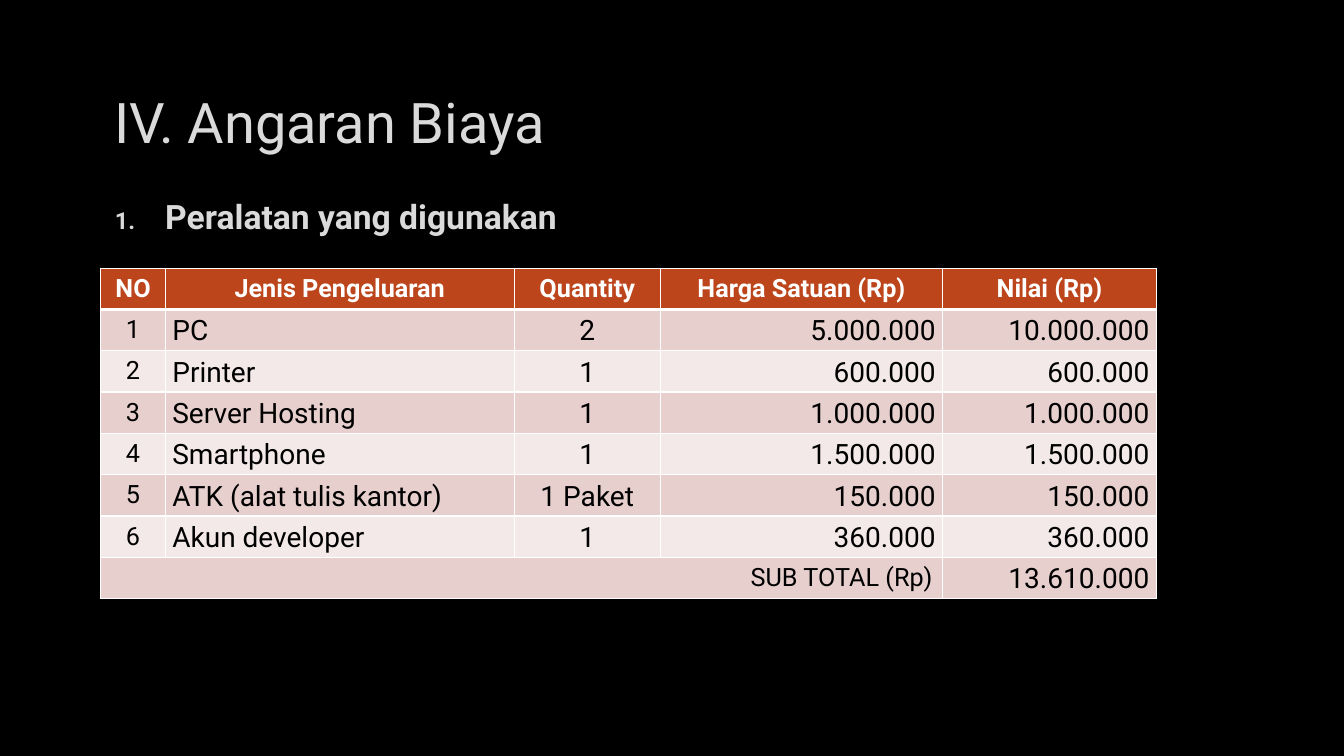
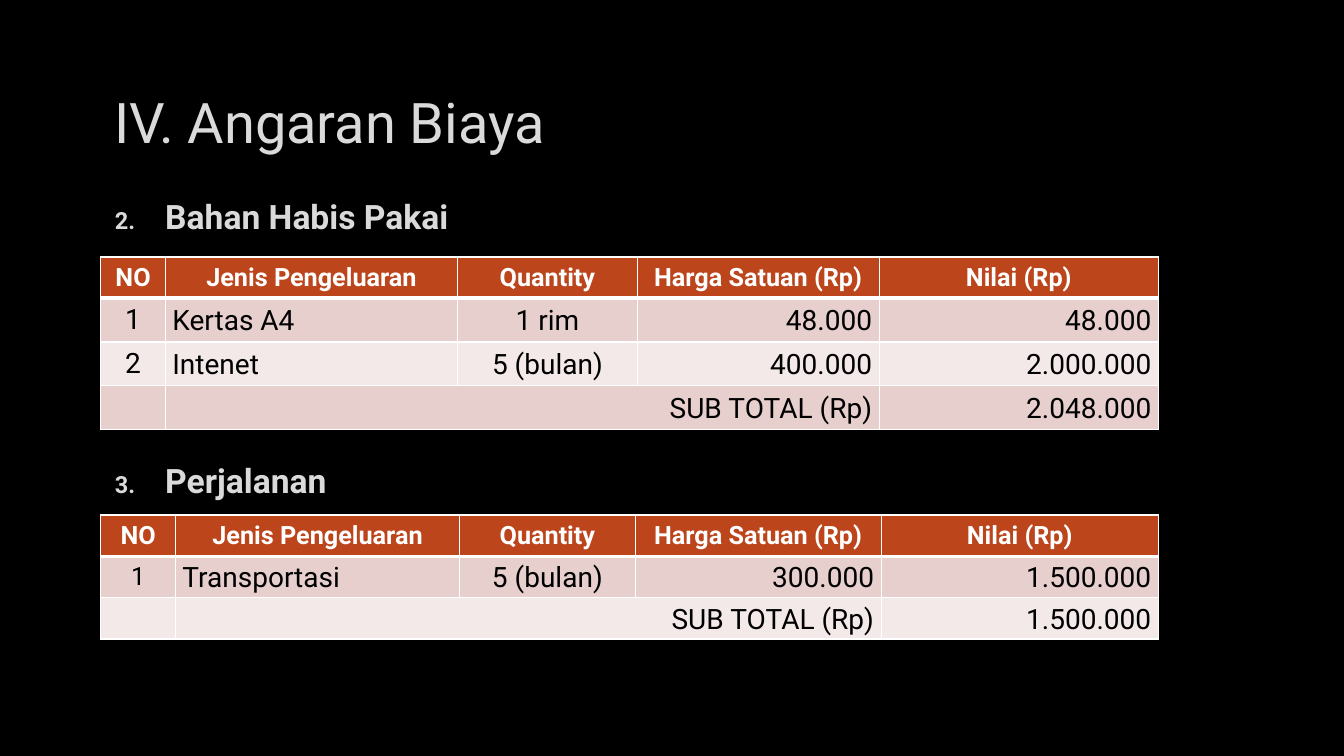
from lxml import etree
from pptx import Presentation
from pptx.dml.color import RGBColor
from pptx.enum import text
from pptx.oxml import ns
from pptx.util import Inches, Pt

FONT = "Roboto"
BLACK, WHITE, GREY = "000000", "FFFFFF", "DADADA"
HEADER_FILL = "BC451B"
BAND_FILLS = ("E7CFCD", "F3E9E8")
LEFT, CENTER, RIGHT = text.PP_ALIGN.LEFT, text.PP_ALIGN.CENTER, text.PP_ALIGN.RIGHT

TITLE = "IV. Angaran Biaya"
HEADERS = ("NO", "Jenis Pengeluaran", "Quantity", "Harga Satuan (Rp)", "Nilai (Rp)")
TOTAL_LABEL = "SUB TOTAL (Rp)"
ALIGNMENTS = (CENTER, LEFT, CENTER, RIGHT, RIGHT)

EQUIPMENT = dict(
    number=1, heading="Peralatan yang digunakan", heading_top=1.89, top=2.66,
    columns=(0.64, 3.46, 1.45, 2.8, 2.12), row_height=0.41,
    number_size=18, label_column=0, label_size=18,
    items=[
        ("PC", "2", "5.000.000", "10.000.000"),
        ("Printer", "1", "600.000", "600.000"),
        ("Server Hosting", "1", "1.000.000", "1.000.000"),
        ("Smartphone", "1", "1.500.000", "1.500.000"),
        ("ATK (alat tulis kantor)", "1 Paket", "150.000", "150.000"),
        ("Akun developer", "1", "360.000", "360.000"),
    ],
    total="13.610.000",
)
SUPPLIES = dict(
    number=2, heading="Bahan Habis Pakai", heading_top=1.89, top=2.55,
    columns=(0.64, 2.9, 1.78, 2.4, 2.77), row_height=0.43,
    number_size=20, label_column=1, label_size=20,
    items=[
        ("Kertas A4", "1 rim", "48.000", "48.000"),
        ("Intenet", "5 (bulan)", "400.000", "2.000.000"),
    ],
    total="2.048.000",
)
TRAVEL = dict(
    number=3, heading="Perjalanan", heading_top=4.51, top=5.11,
    columns=(0.74, 2.82, 1.74, 2.44, 2.75), row_height=0.41,
    number_size=18, label_column=1, label_size=20,
    items=[("Transportasi", "5 (bulan)", "300.000", "1.500.000")],
    total="1.500.000",
)
SLIDES = [[EQUIPMENT], [SUPPLIES, TRAVEL]]


def color(value):
    return RGBColor.from_string(value)


def add_child(parent, tag, **attributes):
    return etree.SubElement(parent, ns.qn(tag), attributes)


def write(para, words, size, ink, bold=False):
    span = para.add_run()
    span.text = words
    span.font.name = FONT
    span.font.size = Pt(size)
    span.font.bold = bold
    span.font.color.rgb = color(ink)


def add_box(page, top, width, height):
    box = page.shapes.add_textbox(Inches(1), Inches(top), Inches(width), Inches(height))
    box.text_frame.word_wrap = True
    return box.text_frame


def add_title(page):
    frame = add_box(page, 0.67, 4.54, 1.06)
    frame.vertical_anchor = text.MSO_ANCHOR.MIDDLE
    para = frame.paragraphs[0]
    para.alignment = CENTER
    write(para, TITLE, 40, GREY)


def add_heading(page, section):
    para = add_box(page, section["heading_top"], 4.91, 0.6).paragraphs[0]
    para.space_before, para.space_after = Pt(5), Pt(6)
    properties = para._p.get_or_add_pPr()
    properties.set("marL", str(Inches(0.54)))
    properties.set("indent", str(Inches(-0.5)))
    ink = add_child(properties, "a:buClr")
    add_child(ink, "a:srgbClr", val=GREY)
    add_child(properties, "a:buSzPct", val="70000")
    add_child(properties, "a:buFont", typeface="+mj-lt")
    add_child(properties, "a:buAutoNum", type="arabicPeriod", startAt=str(section["number"]))
    write(para, section["heading"], 24, GREY, True)


def style_cell(cell, fill, top_width=1, bottom_width=1):
    properties = cell._tc.get_or_add_tcPr()
    for side, width in zip("LRTB", (1, 1, top_width, bottom_width)):
        line = add_child(properties, f"a:ln{side}", w=str(Pt(width)))
        add_child(add_child(line, "a:solidFill"), "a:srgbClr", val=WHITE)
    cell.fill.solid()
    cell.fill.fore_color.rgb = color(fill)
    cell.vertical_anchor = text.MSO_ANCHOR.MIDDLE


def fill_cell(cell, words, align, size, ink=BLACK, bold=False, tight=False):
    para = cell.text_frame.paragraphs[0]
    para.alignment = align
    if tight:
        cell.margin_left = cell.margin_right = Inches(0.07)
        cell.margin_top = cell.margin_bottom = 0
        para.line_spacing = 1.07
    write(para, words, size, ink, bold)


def add_budget(page, section):
    items, columns = section["items"], section["columns"]
    heights = [0.41] + [section["row_height"]] * (len(items) + 1)
    frame = page.shapes.add_table(
        len(heights), len(columns), Inches(1), Inches(section["top"]),
        Inches(sum(columns)), Inches(sum(heights)))
    table = frame.table
    for column, width in zip(table.columns, columns):
        column.width = Inches(width)
    for index, (row, height) in enumerate(zip(table.rows, heights)):
        row.height = Inches(height)
        fill = BAND_FILLS[(index - 1) % 2] if index else HEADER_FILL
        for cell in row.cells:
            style_cell(cell, fill, 3 if index == 1 else 1, 1 if index else 3)

    for column, words in enumerate(HEADERS):
        fill_cell(table.cell(0, column), words, CENTER, 18, WHITE, True)
    for row, item in enumerate(items, 1):
        fill_cell(table.cell(row, 0), str(row), CENTER, section["number_size"])
        for column, words in enumerate(item, 1):
            fill_cell(table.cell(row, column), words, ALIGNMENTS[column], 20, tight=True)

    last = len(items) + 1
    label = table.cell(last, section["label_column"])
    label.merge(table.cell(last, 3))
    size = section["label_size"]
    fill_cell(label, TOTAL_LABEL, RIGHT, size, tight=size == 20)
    fill_cell(table.cell(last, 4), section["total"], RIGHT, 20, tight=True)


def main():
    deck = Presentation()
    deck.slide_width, deck.slide_height = Inches(13.33), Inches(7.5)
    for sections in SLIDES:
        page = deck.slides.add_slide(deck.slide_layouts[6])
        page.background.fill.solid()
        page.background.fill.fore_color.rgb = color(BLACK)
        add_title(page)
        for section in sections:
            add_heading(page, section)
            add_budget(page, section)
    deck.save("out.pptx")


if __name__ == "__main__":
    main()
